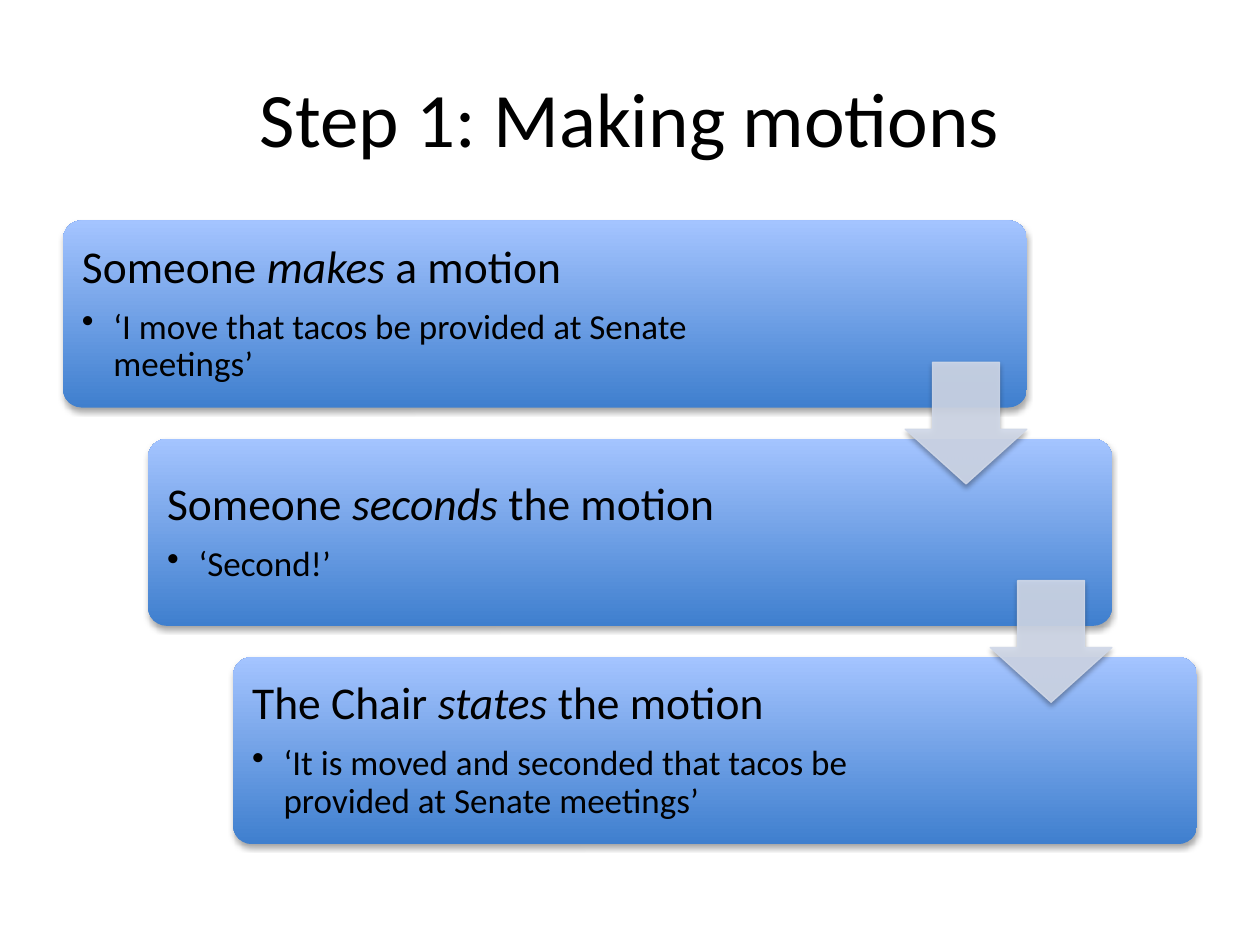
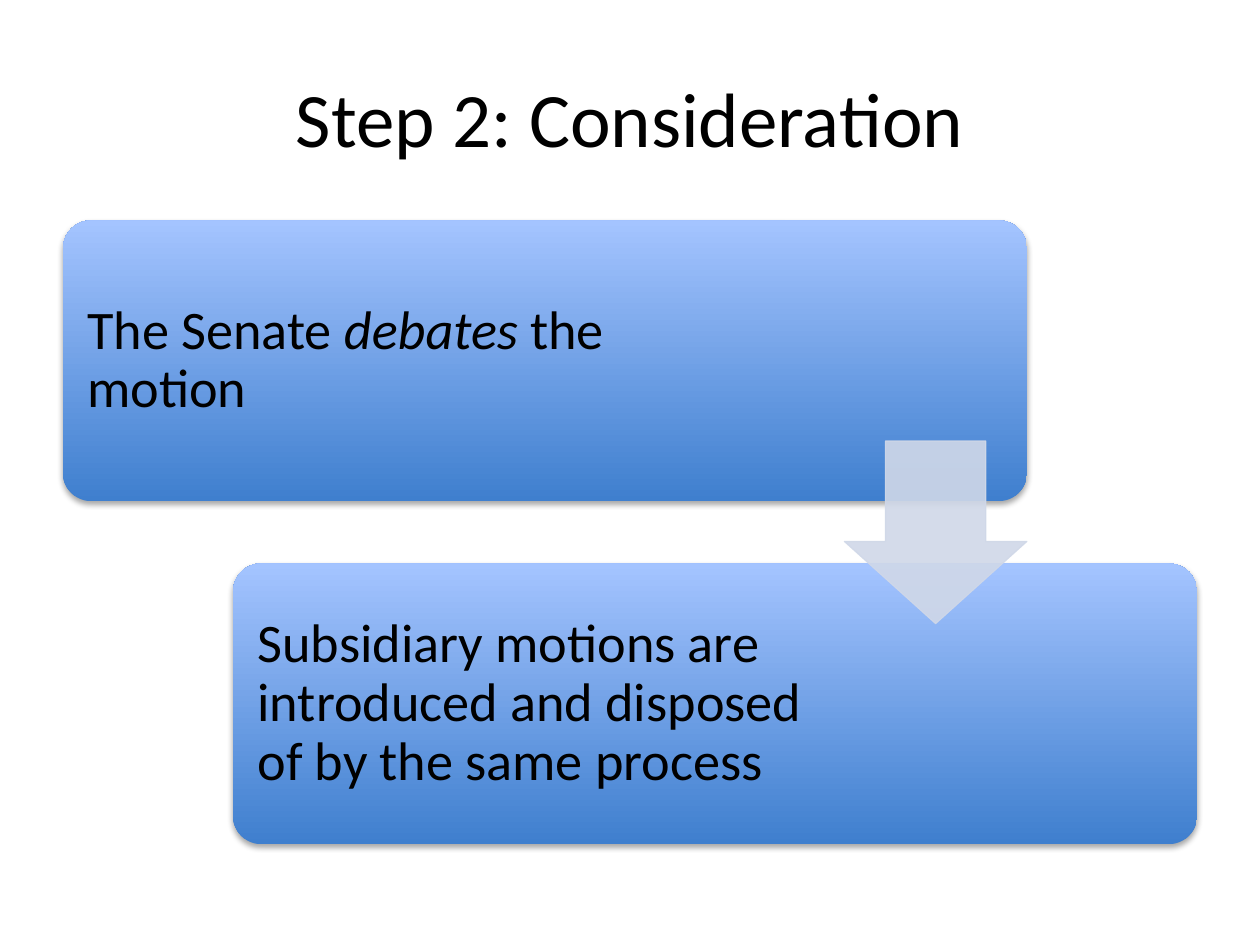
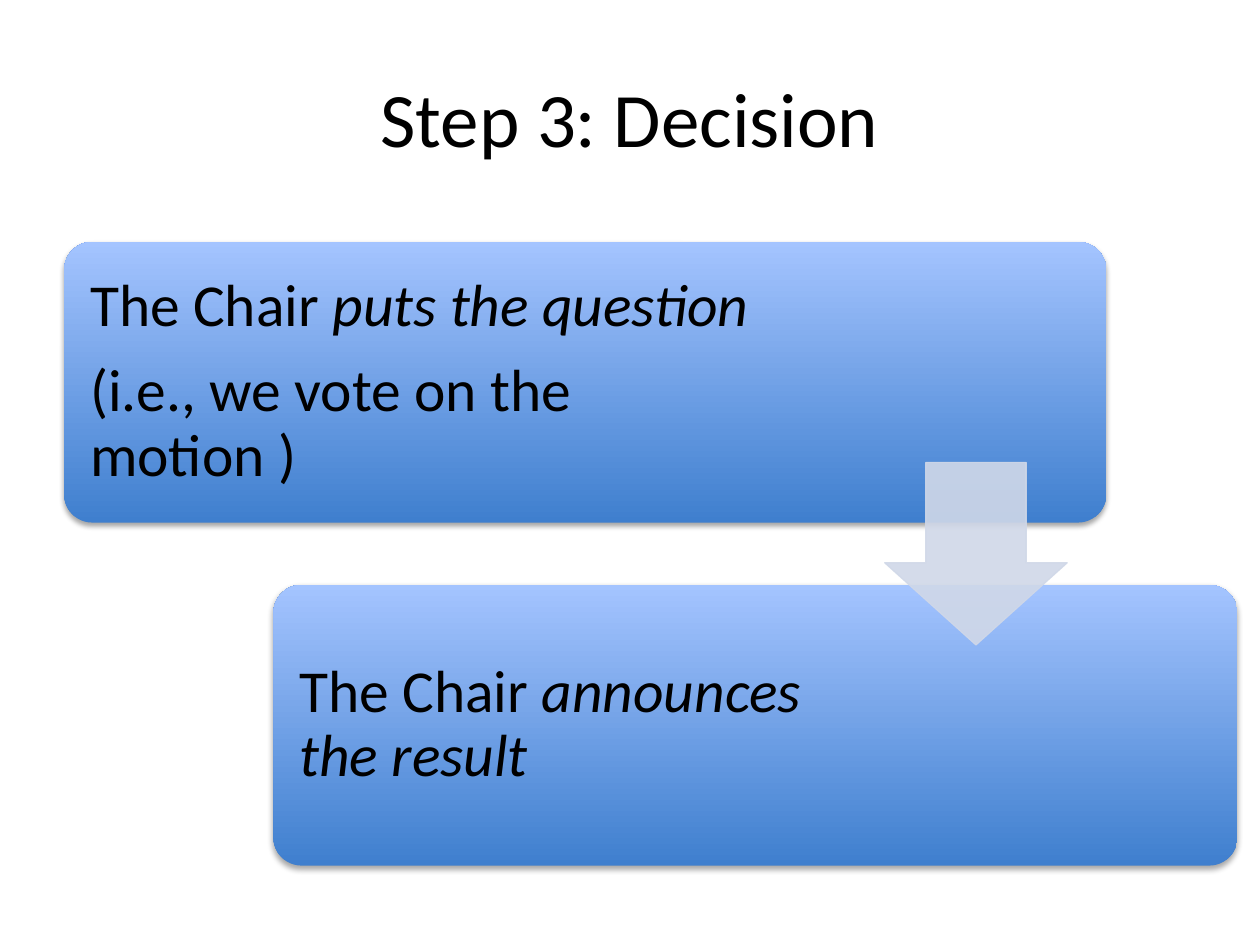
from dataclasses import dataclass
from typing import NamedTuple

from lxml.etree import SubElement
from pptx import Presentation
from pptx.dml.color import RGBColor
from pptx.enum.shapes import MSO_SHAPE
from pptx.enum.text import MSO_ANCHOR, PP_ALIGN
from pptx.oxml.ns import qn
from pptx.util import Inches, Pt


@dataclass(frozen=True)
class Theme:
    font: str = "Calibri"
    ink: str = "000000"
    card_dark: str = "3F7FCE"
    card_light: str = "A4C4FF"
    arrow: str = "D0D8E8"
    arrow_alpha: int = 90
    shadow_alpha: int = 35
    title_size: int = 44
    bullet_size: int = 20


class Box(NamedTuple):
    x: float
    y: float
    w: float
    h: float

    def emu(self):
        return [Inches(v) for v in self]


THEME = Theme()
SLIDE_W, SLIDE_H = 10, 7.5
MARGIN = 0.05 * SLIDE_W
TITLE_BOX = Box(MARGIN, 0.04 * SLIDE_H, 0.9 * SLIDE_W, SLIDE_H / 6)
STAIRS = Box(MARGIN, 1.75, 0.9 * SLIDE_W, 0.66 * SLIDE_H)

CARD_W = 0.85          # share of the staircase width
CORNER = 0.1           # share of the card height
ARROW_SIZE = 0.65      # share of the card height
BULLET_INDENT = 0.25

# By number of steps: card height and pitch as shares of the staircase height,
# text width of the first and of the later cards as shares of the card width.
STAIR_RULES = {
    2: dict(height=0.45, pitch=0.55, first=0.7, later=0.617),
    3: dict(height=0.3, pitch=0.35, first=0.79, later=0.774),
}

SLIDES = [
    dict(title="Step 1: Making motions", box=STAIRS, size=26, arrow_shadow=True, steps=[
        ["Someone *makes* a motion",
         "• ‘I move that tacos be provided at Senate meetings’"],
        ["Someone *seconds* the motion", "• ‘Second!’"],
        ["The Chair *states* the motion",
         "• ‘It is moved and seconded that tacos be provided at Senate meetings’"],
    ]),
    dict(title="Step 2: Consideration", box=STAIRS, size=31, steps=[
        ["The Senate *debates* the motion"],
        ["Subsidiary motions are introduced and disposed of by the same process"],
    ]),
    dict(title="Step 3: Decision", size=34, first_extra=0.31,
         box=STAIRS._replace(x=0.82, y=1.92), steps=[
             ["The Chair *puts the question*", "(i.e., we vote on the motion )"],
             ["The Chair *announces the result*"],
         ]),
]


def add_runs(p, text, size):
    """Fill a paragraph; parts between asterisks are italic."""
    for i, part in enumerate(text.split("*")):
        if part:
            r = p.add_run()
            r.text = part
            r.font.color.rgb = RGBColor.from_string(THEME.ink)
            look = dict(name=THEME.font, size=Pt(size), italic=i % 2 == 1)
            for name, value in look.items():
                setattr(r.font, name, value)


def add_text_frame(s, box, inset=None):
    tf = s.shapes.add_textbox(*box.emu()).text_frame
    tf.word_wrap = True
    tf.vertical_anchor = MSO_ANCHOR.MIDDLE
    if inset is not None:
        for side in ("left", "right", "top", "bottom"):
            setattr(tf, f"margin_{side}", Pt(inset))
    return tf


def add_title(s, text):
    p = add_text_frame(s, TITLE_BOX).paragraphs[0]
    p.alignment = PP_ALIGN.CENTER
    add_runs(p, text, THEME.title_size)


def add_alpha(color, percent):
    SubElement(color, qn("a:alpha"), val=str(percent * 1000))


def add_shadow(sp):
    effects = sp._element.spPr.find(qn("a:effectLst"))
    shadow = SubElement(effects, qn("a:outerShdw"), blurRad=str(Pt(3.1)),
                        dist=str(Pt(1.8)), dir="5400000", rotWithShape="0")
    add_alpha(SubElement(shadow, qn("a:srgbClr"), val=THEME.ink), THEME.shadow_alpha)


def add_preset(s, preset, box, adjustments, shadow):
    sp = s.shapes.add_shape(preset, *box.emu())
    for i, value in enumerate(adjustments):
        sp.adjustments[i] = value
    sp.shadow.inherit = False
    if shadow:
        add_shadow(sp)
    return sp


def add_card(s, box):
    sp = add_preset(s, MSO_SHAPE.ROUNDED_RECTANGLE, box, [CORNER], shadow=True)
    sp.fill.gradient()
    sp.fill.gradient_angle = 90
    for stop, color in zip(sp.fill.gradient_stops, (THEME.card_dark, THEME.card_light)):
        stop.color.rgb = RGBColor.from_string(color)
    sp.line.fill.background()


def add_arrow(s, box, shadow):
    sp = add_preset(s, MSO_SHAPE.DOWN_ARROW, box, [0.55, 0.45], shadow)
    sp.line.width = Pt(0.75)
    for fill in (sp.fill, sp.line.fill):
        fill.solid()
        fill.fore_color.rgb = RGBColor.from_string(THEME.arrow)
    for color in sp._element.spPr.findall(".//" + qn("a:solidFill") + "/" + qn("a:srgbClr")):
        add_alpha(color, THEME.arrow_alpha)


def add_card_text(s, card, share, lines, size):
    pad = 0.29 * CORNER * card.h
    tf = add_text_frame(s, Box(card.x + pad, card.y + pad, share * card.w, card.h - 2 * pad),
                        inset=0.3 * size)
    for i, line in enumerate(lines):
        p = tf.add_paragraph() if i else tf.paragraphs[0]
        is_bullet = line.startswith("• ")
        p.line_spacing = 0.9
        pPr = p._p.get_or_add_pPr()
        after = SubElement(pPr, qn("a:spcAft"))
        SubElement(after, qn("a:spcPct"), val="15000" if is_bullet else "35000")
        if is_bullet:
            p.level = 1
            pPr.set("marL", str(Inches(BULLET_INDENT)))
            pPr.set("indent", str(-Inches(BULLET_INDENT)))
            SubElement(pPr, qn("a:buChar"), char="•")
        add_runs(p, line.removeprefix("• "), THEME.bullet_size if is_bullet else size)


def add_staircase(s, box, steps, size, first_extra=0, arrow_shadow=False):
    """Cards stepping down to the right; first_extra widens the first on both sides."""
    rule = STAIR_RULES[len(steps)]
    w, h = CARD_W * box.w, rule["height"] * box.h
    dx, dy = (box.w - w) / (len(steps) - 1), rule["pitch"] * box.h
    cards = [Box(box.x + i * dx, box.y + i * dy, w, h) for i in range(len(steps))]
    for i, (card, lines) in enumerate(zip(cards, steps)):
        if i == 0:
            card = card._replace(x=card.x - first_extra, w=w + 2 * first_extra)
        add_card(s, card)
        add_card_text(s, card, rule["later" if i else "first"], lines, size)
    side = ARROW_SIZE * h
    for card in cards[:-1]:
        gap_middle = card.y + (h + dy) / 2
        add_arrow(s, Box(card.x + w - side, gap_middle - side / 2, side, side), arrow_shadow)


def add_step_slide(prs, title, **staircase):
    s = prs.slides.add_slide(prs.slide_layouts[6])
    add_title(s, title)
    add_staircase(s, **staircase)


def main():
    prs = Presentation()
    prs.slide_width, prs.slide_height = Inches(SLIDE_W), Inches(SLIDE_H)
    for content in SLIDES:
        add_step_slide(prs, **content)
    prs.save("out.pptx")


if __name__ == "__main__":
    main()
